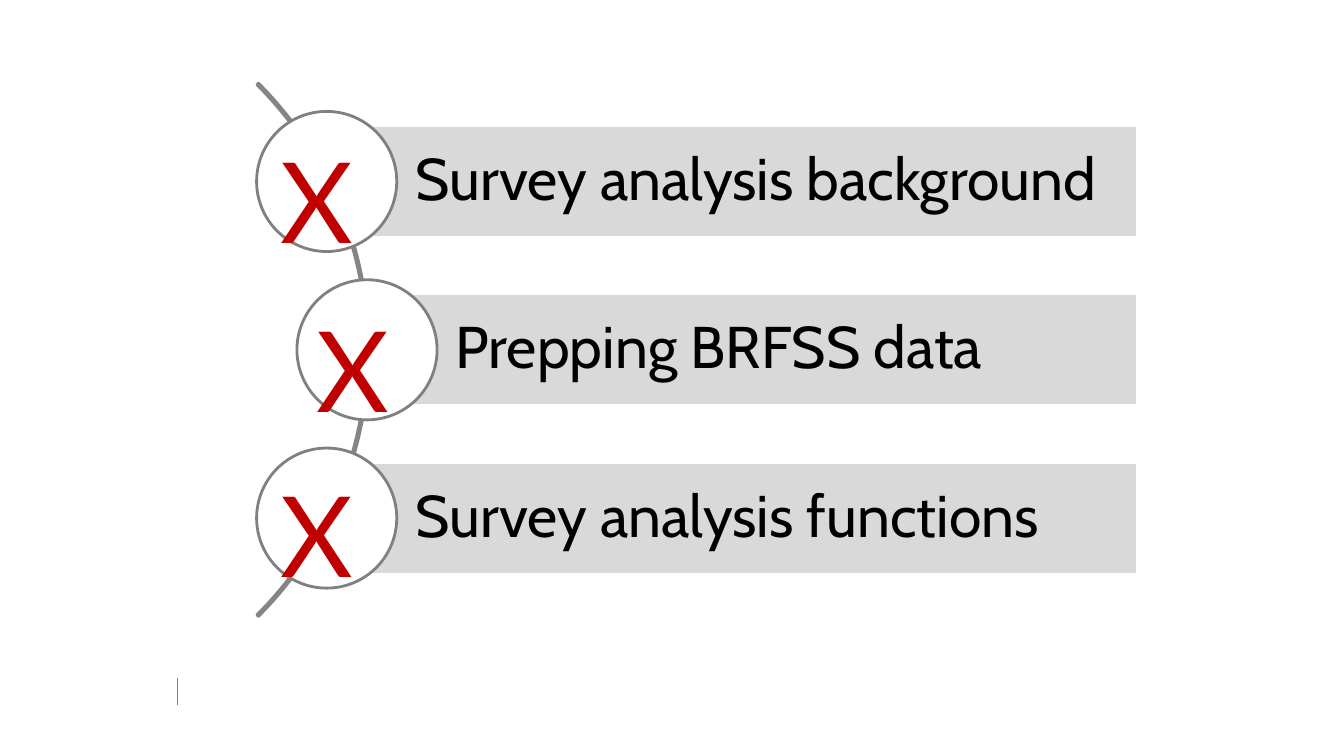
from pptx import Presentation
from pptx.dml.color import RGBColor
from pptx.enum.shapes import MSO_CONNECTOR, MSO_SHAPE
from pptx.enum.text import MSO_ANCHOR, MSO_AUTO_SIZE, PP_ALIGN
from pptx.oxml.ns import qn
from pptx.util import Inches, Pt
from lxml import etree

RECTANGLE = MSO_SHAPE.RECTANGLE
OVAL = MSO_SHAPE.OVAL
BLOCK_ARC = MSO_SHAPE.BLOCK_ARC
STRAIGHT = MSO_CONNECTOR.STRAIGHT
MIDDLE = MSO_ANCHOR.MIDDLE
LEFT = PP_ALIGN.LEFT
GROW = MSO_AUTO_SIZE.SHAPE_TO_FIT_TEXT

COLORS = {
    "white": "FFFFFF",
    "bar": "D9D9D9",
    "outline": "808080",
    "arc": "858585",
    "text": "000000",
    "mark": "C00000",
}

# Topic, centre of its circle, left edge of its X mark, top of its X mark
TOPICS = [
    ("Survey analysis background", 3.24, 2.68, 1.26),
    ("Prepping BRFSS data", 3.64, 3.04, 2.93),
    ("Survey analysis functions", 3.24, 2.68, 4.57),
]
FIRST_CENTER_Y = 1.8
TOPIC_PITCH = 1.67
BAR_RIGHT = 11.28
BAR_HEIGHT = 1.11
CIRCLE_SIZE = 1.39


def color(name):
    return RGBColor.from_string(COLORS[name])


def add_shape(slide, kind, left, top, width, height, fill=None, line="white"):
    shape = slide.shapes.add_shape(
        kind, Inches(left), Inches(top), Inches(width), Inches(height))
    shape.shadow.inherit = False
    if fill:
        shape.fill.solid()
        shape.fill.fore_color.rgb = color(fill)
    else:
        shape.fill.background()
    shape.line.color.rgb = color(line)
    shape.line.width = Pt(2)
    return shape


def write_text(shape, text, *, font, size, ink, line_spacing=1.0):
    paragraph = shape.text_frame.paragraphs[0]
    paragraph.alignment = LEFT
    paragraph.line_spacing = line_spacing
    run = paragraph.add_run()
    run.text = text
    run.font.name = font
    run.font.size = Pt(size)
    run.font.color.rgb = color(ink)


def add_bar(slide, text, left, center_y):
    bar = add_shape(slide, RECTANGLE, left, center_y - BAR_HEIGHT / 2,
                    BAR_RIGHT - left, BAR_HEIGHT, fill="bar")
    frame = bar.text_frame
    frame.word_wrap = True
    frame.vertical_anchor = MIDDLE
    frame.margin_left = Inches(0.88)
    frame.margin_right = frame.margin_top = frame.margin_bottom = Inches(0.12)
    write_text(bar, text, font="Cabin", size=42, ink="text", line_spacing=0.9)


def add_circle(slide, center_x, center_y):
    add_shape(slide, OVAL, center_x - CIRCLE_SIZE / 2, center_y - CIRCLE_SIZE / 2,
              CIRCLE_SIZE, CIRCLE_SIZE, fill="white", line="outline")


def add_mark(slide, left, top):
    box = slide.shapes.add_textbox(
        Inches(left), Inches(top), Inches(1), Inches(1.45))
    box.text_frame.word_wrap = False
    box.text_frame.auto_size = GROW
    write_text(box, "X", font="Lato", size=80, ink="mark")


def add_footer_rule(slide):
    rule = slide.shapes.add_connector(
        STRAIGHT, Inches(1.76), Inches(6.73), Inches(1.76), Inches(6.99))
    rule.line.color.rgb = color("outline")
    rule.line.width = Pt(0.25)
    etree.SubElement(rule._element.spPr, qn("a:effectLst"))


def add_arc(slide):
    arc = add_shape(slide, BLOCK_ARC, -3.82, -0.27, 7.48, 7.48, line="arc")
    # Angles from 315 to 45 degrees, then the relative thickness
    for index, value in enumerate((189, 27, 0.003)):
        arc.adjustments[index] = value


def main():
    presentation = Presentation()
    presentation.slide_width = Inches(13.33)
    presentation.slide_height = Inches(7.5)
    slide = presentation.slides.add_slide(presentation.slide_layouts[6])

    add_footer_rule(slide)
    add_arc(slide)
    for index, (text, center_x, _, _) in enumerate(TOPICS):
        center_y = FIRST_CENTER_Y + index * TOPIC_PITCH
        add_bar(slide, text, center_x, center_y)
        add_circle(slide, center_x, center_y)
    for _, _, mark_left, mark_top in TOPICS:
        add_mark(slide, mark_left, mark_top)

    presentation.save("out.pptx")


if __name__ == "__main__":
    main()
